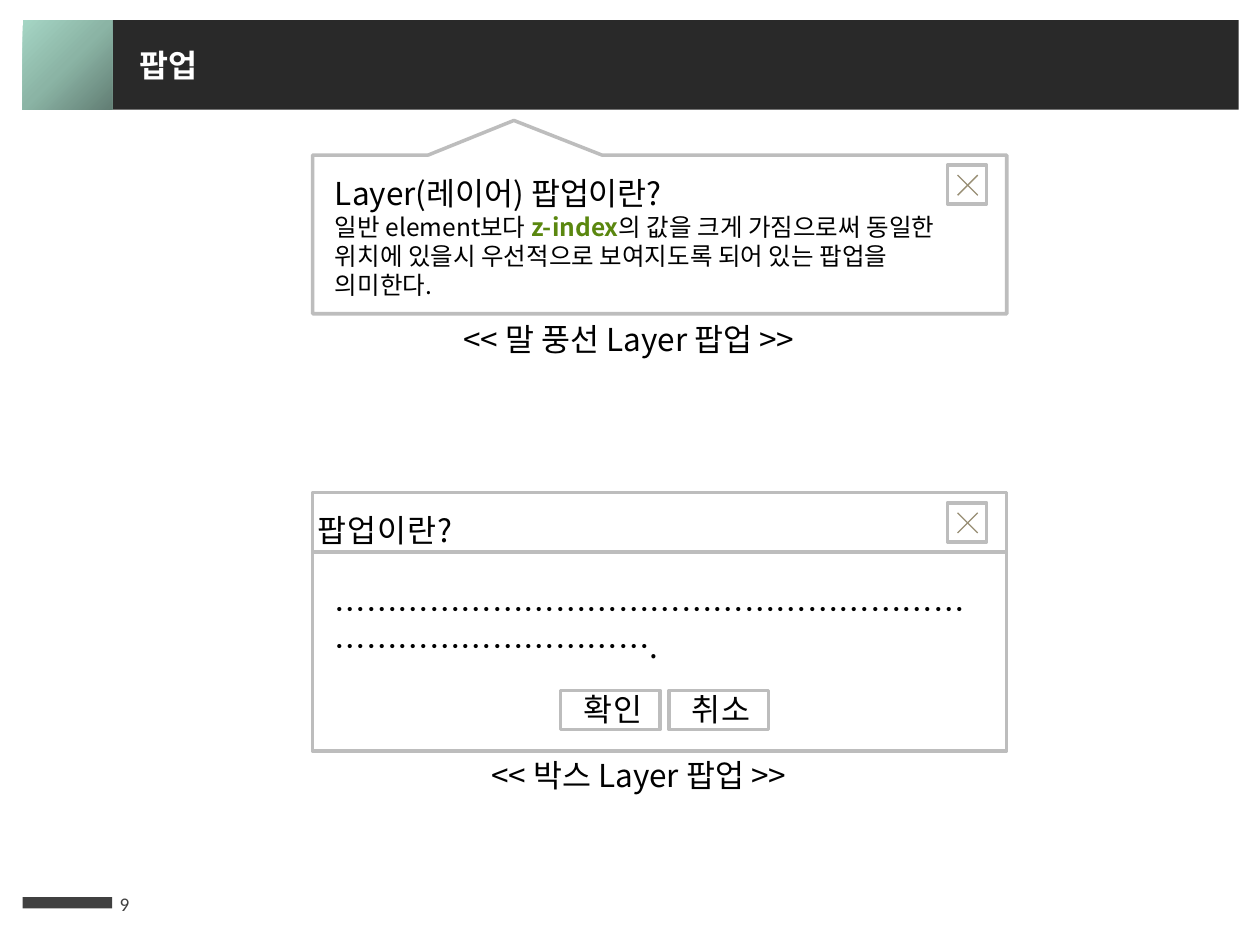
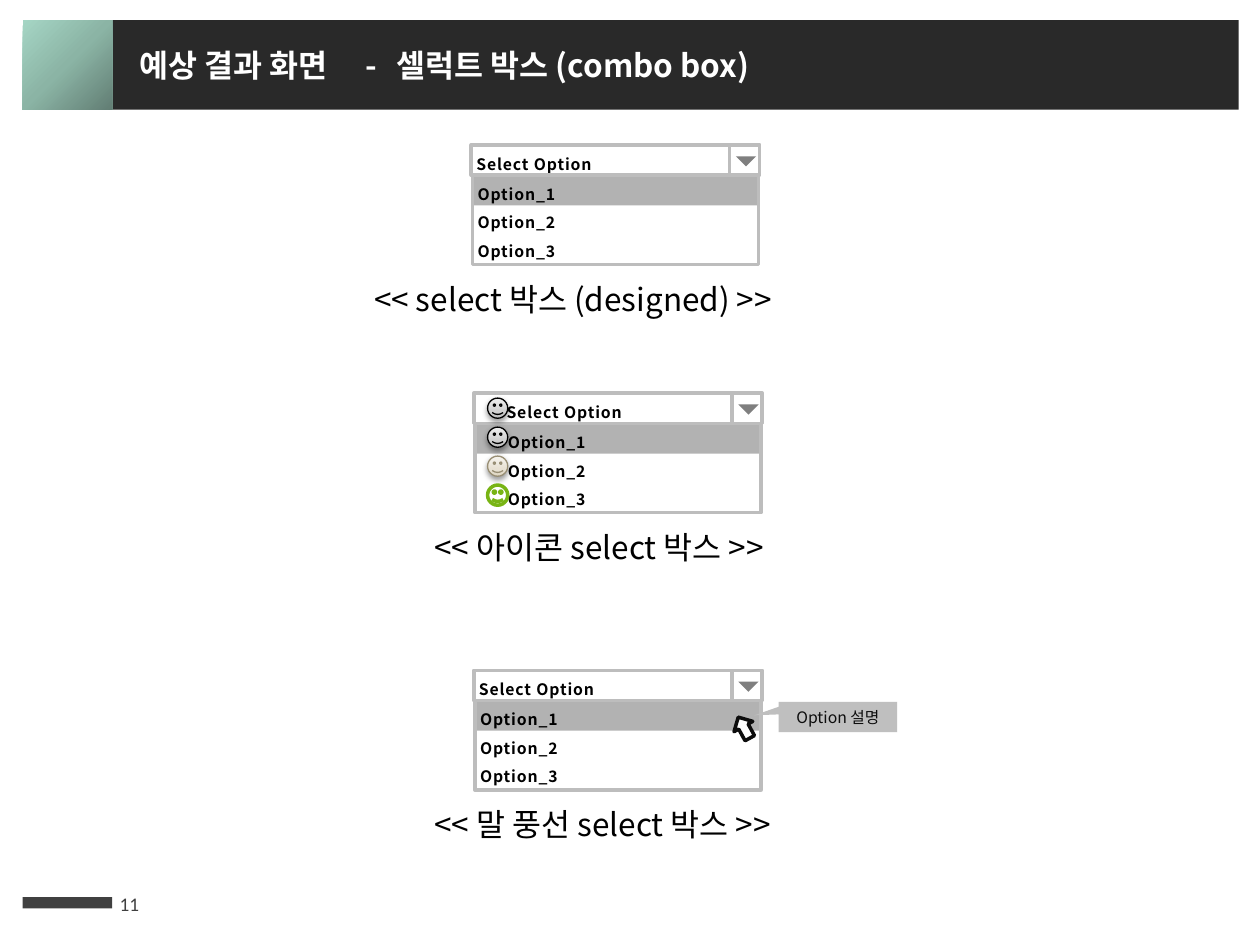
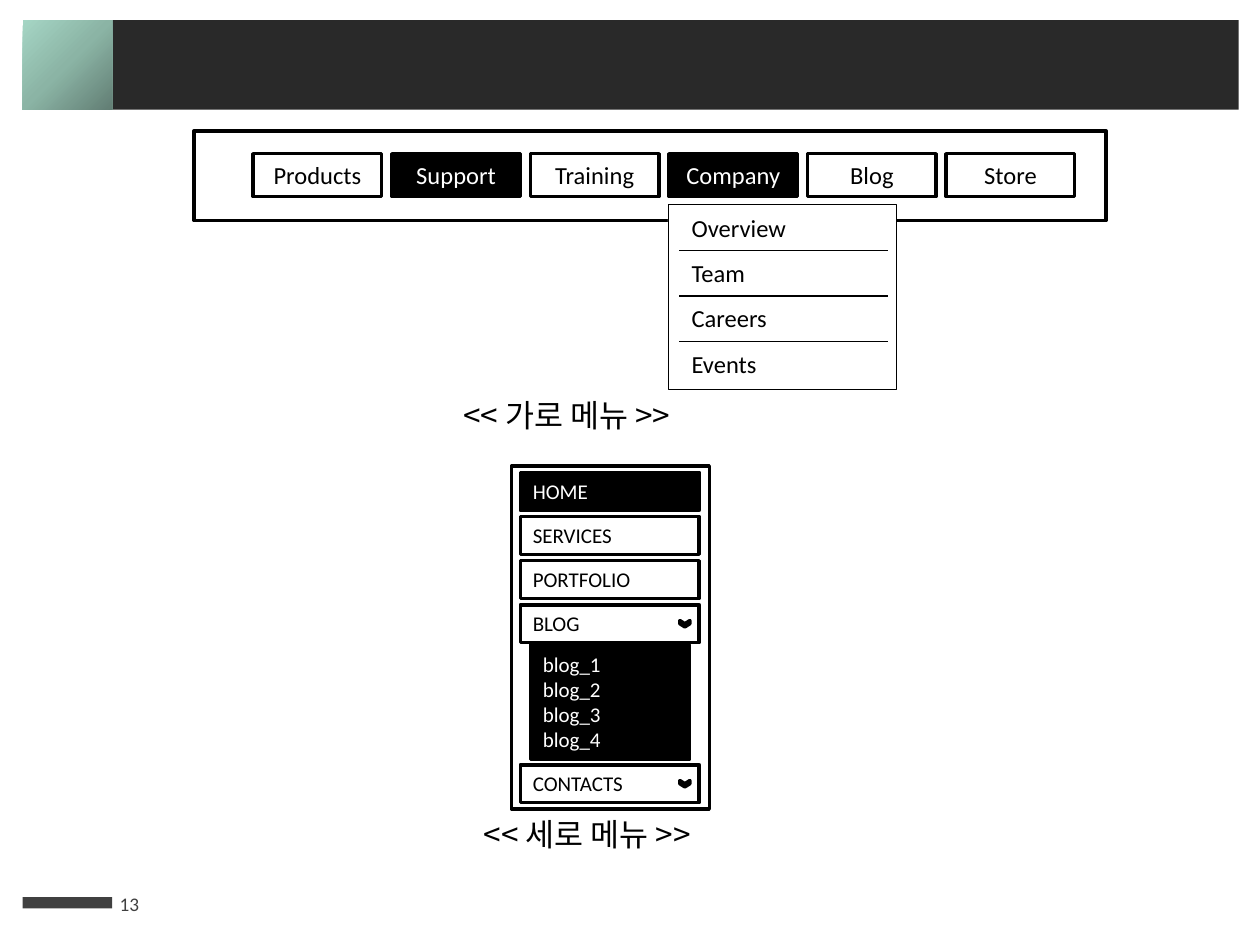
from dataclasses import dataclass
from typing import NamedTuple, Optional

from lxml.etree import SubElement
from pptx import Presentation
from pptx.dml.color import RGBColor
from pptx.enum.shapes import MSO_CONNECTOR, MSO_SHAPE
from pptx.enum.text import MSO_ANCHOR, MSO_AUTO_SIZE, PP_ALIGN
from pptx.oxml import parse_xml
from pptx.oxml.ns import nsdecls, qn
from pptx.util import Inches, Pt


@dataclass(frozen=True)
class Theme:
    sans: str = "Noto Sans CJK KR"
    latin: str = "Calibri"
    white: str = "FFFFFF"
    black: str = "000000"
    band: str = "292929"
    dark: str = "404040"
    border: str = "BDBDBD"
    tooltip: str = "BFBFBF"
    ink: str = "0D0D0D"
    arrow: str = "7F7F7F"
    tan: str = "988E74"
    green: str = "5A870F"
    lime: str = "78B414"
    corner: tuple = ((0, "627E74"), (50, "8BB4A5"), (100, "A5D5C4"))
    silver: tuple = ((0, "BDBDBD"), (35, "D1D1D1"), (100, "EEEEEE"))
    cream: tuple = ((0, "DFD5C0"), (35, "E8E1D3"), (100, "F6F4EE"))
    heading: float = 18
    body: float = 14
    menu: float = 12
    number: float = 11
    option: float = 9


T = Theme()


class Box(NamedTuple):
    x: float
    y: float
    w: float
    h: float

    def emu(self) -> list:
        return [Inches(v) for v in self]


class Run(NamedTuple):
    text: str
    size: float = T.heading
    color: str = T.black
    bold: bool = False
    font: str = T.sans
    spacing: float = 0


class Text(NamedTuple):
    paragraphs: list
    align: Optional[PP_ALIGN] = None
    anchor: MSO_ANCHOR = MSO_ANCHOR.TOP
    line_spacing: Optional[float] = None
    indent: float = 0
    tight: bool = False
    grow: bool = False


class Look(NamedTuple):
    fill: str
    line: Optional[str] = None
    width: float = 2
    opacity: int = 100


GLASS = Look(T.white, T.border, opacity=60)
OUTLINE = Look(T.white, T.black)
SOLID = Look(T.black, T.black)


class Combo(NamedTuple):
    x: float
    y: float
    caption: str
    caption_x: float
    caption_w: float
    icons: tuple = ()


class Icon(NamedTuple):
    look: Look
    stops: tuple = ()


def write(sp, text: Text) -> None:
    tf = sp.text_frame
    tf.word_wrap = True
    tf.vertical_anchor = text.anchor
    if text.grow:
        tf.auto_size = MSO_AUTO_SIZE.SHAPE_TO_FIT_TEXT
    if text.tight:
        tf.margin_left = Inches(0.04)
        tf.margin_top = tf.margin_right = tf.margin_bottom = 0
    for i, runs in enumerate(text.paragraphs):
        p = tf.paragraphs[0] if i == 0 else tf.add_paragraph()
        p.alignment = text.align or PP_ALIGN.LEFT
        if text.line_spacing:
            p.line_spacing = text.line_spacing
        if text.indent:
            pPr = p._p.get_or_add_pPr()
            pPr.set("marL", str(Inches(text.indent)))
            pPr.set("indent", "0")
        for run in runs:
            r = p.add_run()
            r.text = run.text
            r.font.size = Pt(run.size)
            r.font.bold = run.bold
            r.font.color.rgb = RGBColor.from_string(run.color)
            r.font.name = run.font
            rPr = r._r.get_or_add_rPr()
            SubElement(rPr, qn("a:ea"), typeface=run.font)
            if run.spacing:
                rPr.set("spc", str(round(run.spacing * 100)))


def shape(s, kind: MSO_SHAPE, box: Box, look: Look, text: Optional[Text] = None, rotation: float = 0):
    sp = s.shapes.add_shape(kind, *box.emu())
    sp.shadow.inherit = False
    sp.rotation = rotation
    sp.fill.solid()
    sp.fill.fore_color.rgb = RGBColor.from_string(look.fill)
    if look.opacity < 100:
        color = sp._element.spPr.find(qn("a:solidFill"))[0]
        SubElement(color, qn("a:alpha"), val=str(look.opacity * 1000))
    if look.line:
        sp.line.color.rgb = RGBColor.from_string(look.line)
        sp.line.width = Pt(look.width)
    else:
        sp.line.fill.background()
    if text:
        write(sp, text)
    return sp


def rect(s, box: Box, look: Look, text: Optional[Text] = None):
    return shape(s, MSO_SHAPE.RECTANGLE, box, look, text)


def label(s, box: Box, text: Text):
    tb = s.shapes.add_textbox(*box.emu())
    write(tb, text)
    return tb


def line(s, x1: float, y1: float, x2: float, y2: float, color: str) -> None:
    cx = s.shapes.add_connector(MSO_CONNECTOR.STRAIGHT, *[Inches(v) for v in (x1, y1, x2, y2)])
    cx.line.color.rgb = RGBColor.from_string(color)
    cx.line.width = Pt(0.75)
    SubElement(cx._element.spPr, qn("a:effectLst"))


def gradient(sp, stops: tuple, direction: str) -> None:
    gs = "".join(f'<a:gs pos="{pos * 1000}"><a:srgbClr val="{c}"/></a:gs>' for pos, c in stops)
    spPr = sp._element.spPr
    spPr.replace(
        spPr.find(qn("a:solidFill")),
        parse_xml(f'<a:gradFill {nsdecls("a")} rotWithShape="1"><a:gsLst>{gs}</a:gsLst>{direction}</a:gradFill>'),
    )


def drop_shadow(sp) -> None:
    effects = sp._element.spPr.find(qn("a:effectLst"))
    shadow = SubElement(effects, qn("a:outerShdw"), blurRad=str(Pt(3.1)), dist=str(Pt(1.6)),
                        dir="5400000", rotWithShape="0")
    color = SubElement(shadow, qn("a:srgbClr"), val=T.black)
    SubElement(color, qn("a:alpha"), val="38000")


def caption(s, x: float, y: float, w: float, text: str) -> None:
    label(s, Box(x, y, w, 0.4), Text([[Run(text)]], grow=True))


def new_slide(prs, number: int, title: str = "", tabs: tuple = ()):
    s = prs.slides.add_slide(prs.slide_layouts[6])
    rect(s, Box(0.89, 0.16, 8.94, 0.71), Look(T.band))
    corner = rect(s, Box(0.18, 0.16, 0.71, 0.71), Look(T.dark))
    gradient(corner, T.corner, '<a:path path="circle"><a:fillToRect l="100000" t="100000"/></a:path>')
    rect(s, Box(0.18, 7.12, 0.71, 0.09), Look(T.dark))
    label(s, Box(0.85, 6.97, 0.59, 0.4),
          Text([[Run(str(number), T.number, T.dark, font=T.latin)]], anchor=MSO_ANCHOR.MIDDLE))
    if title:
        tb = label(s, Box(1.01, 0.32, 6.99, 0.4), Text([[Run(title, color=T.white, bold=True)]], grow=True))
        if tabs:
            tab_list = SubElement(tb.text_frame.paragraphs[0]._p.get_or_add_pPr(), qn("a:tabLst"))
            for pos in tabs:
                SubElement(tab_list, qn("a:tab"), pos=str(Inches(pos)), algn="l")
    return s


def close_button(s, x: float, y: float) -> None:
    near, far = 0.08, 0.24
    rect(s, Box(x, y, 0.31, 0.31), GLASS)
    line(s, x + far, y + near, x + near, y + far, T.tan)
    line(s, x + near, y + near, x + far, y + far, T.tan)


def popup_slide(prs) -> None:
    s = new_slide(prs, 9, "팝업")
    left, width, close_x = 2.48, 5.51, 7.52

    balloon = shape(s, MSO_SHAPE.RECTANGULAR_CALLOUT, Box(left, 1.23, width, 1.26),
                    Look(T.white, T.border), rotation=180)
    balloon.adjustments[0] = 0.21
    balloon.adjustments[1] = 0.718
    label(s, Box(2.56, 1.33, 5.28, 1.11), Text([
        [Run("Layer(레이어) 팝업이란?")],
        [Run("일반 element보다 ", T.body),
         Run("z-index", T.body, T.green, True),
         Run("의 값을 크게 가짐으로써 동일한 위치에 있을시 우선적으로 보여지도록 되어 있는 팝업을 의미한다.", T.body)],
    ], grow=True))
    close_button(s, close_x, 1.31)
    caption(s, 3.58, 2.49, 3.31, "<< 말 풍선 Layer 팝업 >>")

    rect(s, Box(left, 3.91, width, 2.05), GLASS)
    label(s, Box(2.56, 4.63, 5.28, 0.71), Text([[Run("…" * 30 + ".")]], grow=True))
    rect(s, Box(left, 3.91, width, 0.47), GLASS,
         Text([[Run("팝업이란?", spacing=0.5)]], line_spacing=1.5, tight=True))
    close_button(s, close_x, 3.99)
    for i, name in enumerate(("확인", "취소")):
        rect(s, Box(4.45 + 0.86 * i, 5.48, 0.79, 0.31), GLASS,
             Text([[Run(name, spacing=0.5)]], PP_ALIGN.CENTER, tight=True))
    caption(s, 3.8, 5.95, 2.91, "<< 박스 Layer 팝업 >>")


def draw_combo(s, combo: Combo) -> None:
    x, y, row = combo.x, combo.y, 0.24

    def options(*names: str) -> Text:
        return Text([[Run(n, T.option, bold=True, spacing=0.5)] for n in names],
                    line_spacing=1.5, indent=0.22 if combo.icons else 0, tight=True)

    rect(s, Box(x, y + row, 2.28, row), Look(T.dark))
    rect(s, Box(x + 2.05, y, row, row), GLASS)
    rect(s, Box(x, y, 2.05, row), GLASS, options("Select Option"))
    shape(s, MSO_SHAPE.ISOSCELES_TRIANGLE, Box(x + 2.1, y + 0.09, 0.16, 0.08), Look(T.arrow), rotation=180)
    rect(s, Box(x + 0.01, y + row, 2.27, 0.71), GLASS, options(*[f"Option_{n}" for n in (1, 2, 3)]))
    caption(s, combo.caption_x, y + 1.02, combo.caption_w, combo.caption)
    for i, icon in enumerate(combo.icons):
        face = shape(s, MSO_SHAPE.SMILEY_FACE, Box(x + 0.11, y + 0.04 + 0.23 * i, 0.16, 0.16), icon.look)
        if icon.stops:
            gradient(face, icon.stops, '<a:lin ang="16200000" scaled="0"/>')
            drop_shadow(face)


def select_slide(prs) -> None:
    s = new_slide(prs, 11, "예상 결과 화면\t-\t셀럭트 박스 (combo box)", (1.79, 2.04))
    silver = Icon(Look(T.white, T.black, 0.75), T.silver)
    cream = Icon(Look(T.white, T.tan, 0.75), T.cream)
    lime = Icon(Look(T.white, T.lime))
    for combo in (
        Combo(3.74, 1.15, "<< select 박스 (designed) >>", 2.87, 4.25),
        Combo(3.76, 3.12, "<< 아이콘 select 박스 >>", 3.35, 3.31, (silver, silver, cream, lime)),
        Combo(3.76, 5.32, "<< 말 풍선 select 박스 >>", 3.35, 3.29),
    ):
        draw_combo(s, combo)
    tip = shape(s, MSO_SHAPE.RECTANGULAR_CALLOUT, Box(6.18, 5.57, 0.94, 0.24), Look(T.tooltip),
                Text([[Run("Option 설명", T.option, T.ink)]], PP_ALIGN.CENTER, MSO_ANCHOR.MIDDLE))
    tip.adjustments[0] = -0.706
    tip.adjustments[1] = -0.052
    shape(s, MSO_SHAPE.UP_ARROW, Box(5.82, 5.68, 0.17, 0.19), Look(T.white, T.ink), rotation=331.2)


def menu_button(s, box: Box, names: tuple, size: float, active: bool,
                align: PP_ALIGN = PP_ALIGN.LEFT) -> None:
    color = T.white if active else T.black
    rect(s, box, SOLID if active else OUTLINE,
         Text([[Run(n, size, color, font=T.latin)] for n in names], align, grow=True))


def menu_slide(prs) -> None:
    s = new_slide(prs, 13)

    rect(s, Box(1.54, 1.04, 7.24, 0.71), OUTLINE)
    for i, name in enumerate(("Products", "Support", "Training", "Company", "Blog", "Store")):
        menu_button(s, Box(2.01 + 1.1 * i, 1.22, 1.02, 0.34), (name,), T.body,
                    name in ("Support", "Company"), PP_ALIGN.CENTER)
    rect(s, Box(5.3, 1.62, 1.81, 1.47), Look(T.white, T.black, 0.25))
    for i, name in enumerate(("Overview", "Team", "Careers", "Events")):
        y = 1.64 + 0.36 * i
        if i:
            line(s, 5.39, y - 0.01, 7.05, y - 0.01, T.black)
        label(s, Box(5.39, y, 1.42, 0.34), Text([[Run(name, T.body, font=T.latin)]], grow=True))
    caption(s, 3.58, 3.09, 2.2, "<< 가로 메뉴 >>")

    rect(s, Box(4.06, 3.7, 1.57, 2.72), OUTLINE)
    rows = [(name, 3.75 + 0.35 * i) for i, name in enumerate(("HOME", "SERVICES", "PORTFOLIO", "BLOG"))]
    for name, y in rows + [("CONTACTS", 6.07)]:
        menu_button(s, Box(4.13, y, 1.42, 0.3), (name,), T.menu, name == "HOME")
        if name in ("BLOG", "CONTACTS"):
            shape(s, MSO_SHAPE.CHEVRON, Box(5.41, y + 0.11, 0.05, 0.08), SOLID, rotation=90)
    menu_button(s, Box(4.21, 5.12, 1.26, 0.91), tuple(f"blog_{n}" for n in range(1, 5)), T.menu, True)
    caption(s, 3.74, 6.42, 2.28, "<< 세로 메뉴 >>")


def main() -> None:
    prs = Presentation()
    prs.slide_width, prs.slide_height = Inches(10), Inches(7.5)
    popup_slide(prs)
    select_slide(prs)
    menu_slide(prs)
    prs.save("out.pptx")


if __name__ == "__main__":
    main()
